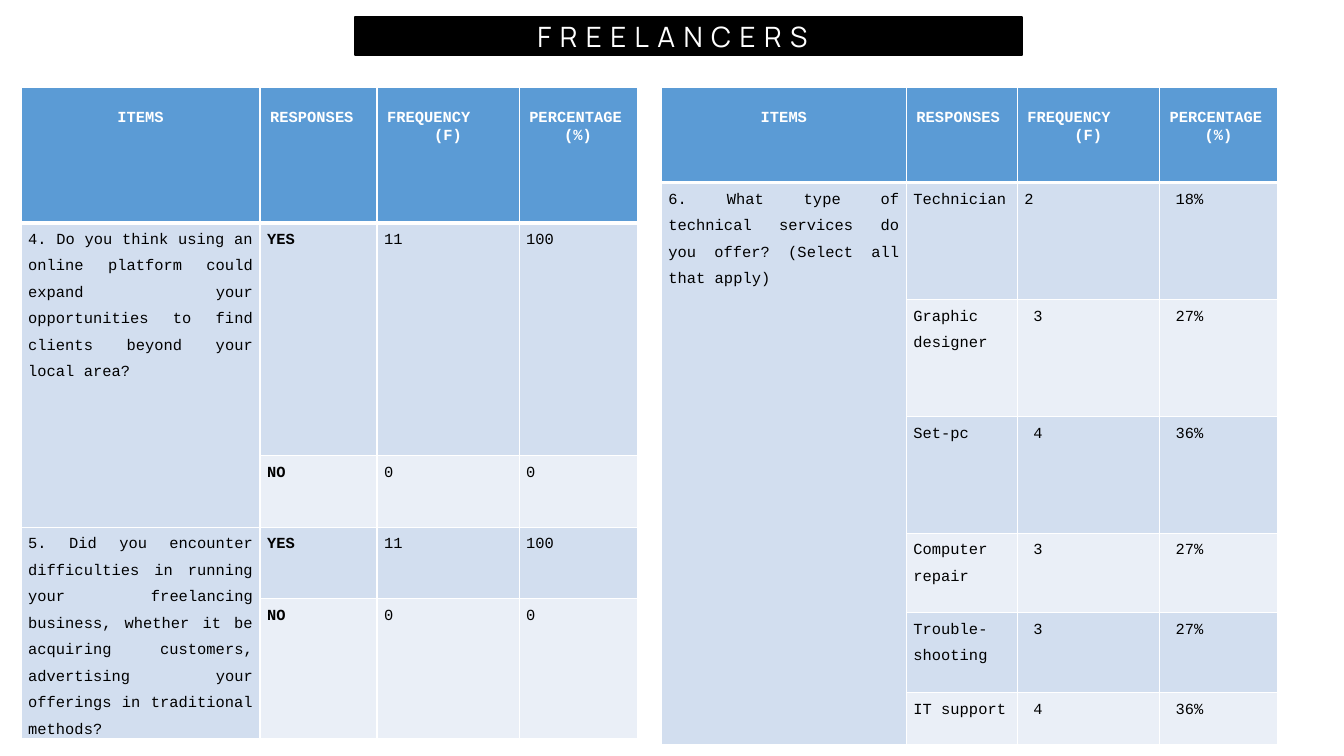
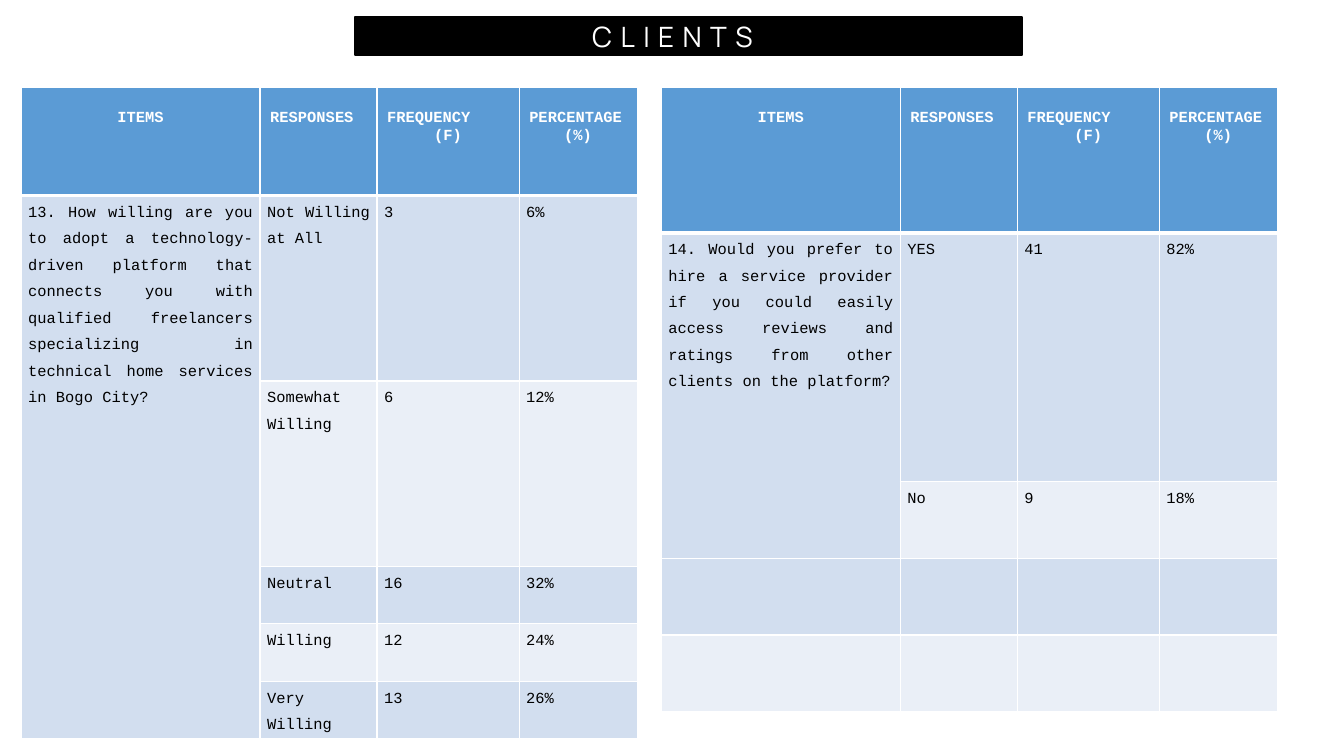
from lxml import etree
from pptx import Presentation
from pptx.dml.color import RGBColor
from pptx.enum.shapes import MSO_SHAPE
from pptx.enum.text import MSO_ANCHOR, PP_ALIGN
from pptx.oxml.ns import qn
from pptx.util import Inches, Pt

RECTANGLE = MSO_SHAPE.RECTANGLE
MIDDLE = MSO_ANCHOR.MIDDLE
LEFT, CENTER, JUSTIFY = PP_ALIGN.LEFT, PP_ALIGN.CENTER, PP_ALIGN.JUSTIFY

WHITE, BLACK = "FFFFFF", "000000"
HEADER_BLUE = "5B9BD5"
ROW_BANDS = ("D2DEEF", "EAEFF7")
TITLE_FONT, TABLE_FONT = "Manrope", "Courier New"

TITLE_BOX = (3.52, 0.17, 6.62, 0.38)
TABLE_TOP = 0.87
TABLE_LEFTS = (0.21, 6.56)
COLUMNS = (2.37, 1.16, 1.41, 1.17)
HEADINGS = (("ITEMS",), ("RESPONSES",), ("FREQUENCY", "(F)"), ("PERCENTAGE", "(%)"))
INDENT = 0.09

# Each survey table holds groups: a question with its (response, frequency, percentage) rows.
YES_NO = [("YES", "11", "100"), ("NO", "0", "0")]
BLANK_GROUP = ("", [("", "", "")])
SLIDES = [
    ("FREELANCERS", [
        dict(
            heights=(1.34, 2.31, 0.71, 0.71, 1.39),
            bold_responses=True,
            groups=[
                ("4. Do you think using an online platform could expand your "
                 "opportunities to find clients beyond your local area?", YES_NO),
                ("5. Did you encounter difficulties in running your freelancing "
                 "business, whether it be acquiring customers, advertising your "
                 "offerings in traditional methods?", YES_NO),
            ]),
        dict(
            heights=(0.94, 1.16, 1.16, 1.16, 0.79, 0.79, 0.52),
            columns=(2.43, 1.1, 1.41, 1.17),
            indent_from={2: 2, 3: 1},
            groups=[
                ("6. What type of technical services do you offer? "
                 "(Select all that apply)", [
                     ("Technician", "2", "18%"),
                     ("Graphic designer", "3", "27%"),
                     ("Set-pc", "4", "36%"),
                     ("Computer repair", "3", "27%"),
                     ("Trouble-shooting", "3", "27%"),
                     ("IT support", "4", "36%"),
                 ]),
            ]),
    ]),
    ("CLIENTS", [
        dict(
            heights=(1.07, 1.84, 1.84, 0.57, 0.57, 0.57),
            groups=[
                ("13. How willing are you to adopt a technology-driven platform "
                 "that connects you with qualified freelancers specializing in "
                 "technical home services in Bogo City?", [
                     ("Not Willing at All", "3", "6%"),
                     ("Somewhat Willing", "6", "12%"),
                     ("Neutral", "16", "32%"),
                     ("Willing", "12", "24%"),
                     ("Very Willing", "13", "26%"),
                 ]),
            ]),
        dict(
            heights=(1.44, 2.47, 0.76, 0.76, 0.76),
            groups=[
                ("14. Would you prefer to hire a service provider if you could "
                 "easily access reviews and ratings from other clients on the "
                 "platform?", [("YES", "41", "82%"), ("No", "9", "18%")]),
                BLANK_GROUP,
                BLANK_GROUP,
            ]),
    ]),
]


def rgb(hex_color):
    return RGBColor.from_string(hex_color)


def add_run(paragraph, text, font, size, color, bold=False):
    run = paragraph.add_run()
    run.text = text
    run.font.name = font
    run.font.size = Pt(size)
    run.font.color.rgb = rgb(color)
    run.font.bold = bold
    return run


def set_margins(area, left, top, right, bottom):
    """Set the insets, in inches, of a text frame or a table cell."""
    area.margin_left, area.margin_top = Inches(left), Inches(top)
    area.margin_right, area.margin_bottom = Inches(right), Inches(bottom)


def set_borders(cell, top, bottom):
    """Give a cell white borders: 1 pt at the sides, the given points above and below."""
    properties = cell._tc.get_or_add_tcPr()
    widths = (("lnL", 1), ("lnR", 1), ("lnT", top), ("lnB", bottom))
    for position, (side, width) in enumerate(widths):
        line = etree.Element(qn(f"a:{side}"), w=str(Pt(width)))
        fill = etree.SubElement(line, qn("a:solidFill"))
        etree.SubElement(fill, qn("a:srgbClr"), val=WHITE)
        properties.insert(position, line)


def fill_cell(cell, color):
    cell.fill.solid()
    cell.fill.fore_color.rgb = rgb(color)


def write_heading(cell, lines, first_alignment):
    set_margins(cell, 0.1, 0.22, 0.1, 0.05)
    frame = cell.text_frame
    for number, text in enumerate(lines):
        paragraph = frame.add_paragraph() if number else frame.paragraphs[0]
        paragraph.alignment = CENTER if number else first_alignment
        add_run(paragraph, text, TABLE_FONT, 11, WHITE, bold=True)


def write_body(cell, text, bold=False, indent=0):
    set_margins(cell, 0.07 + indent, 0, 0.07, 0)
    if text:
        paragraph = cell.text_frame.paragraphs[0]
        paragraph.alignment = JUSTIFY
        paragraph.line_spacing = 1.5
        add_run(paragraph, text, TABLE_FONT, 11, BLACK, bold)


def add_survey_table(slide, left, top, heights, groups, columns=COLUMNS,
                     bold_responses=False, indent_from=None):
    """Draw questions with their answers; indent_from maps a column to its first indented row."""
    indent_from = indent_from or {}
    table = slide.shapes.add_table(
        len(heights), len(columns), Inches(left), Inches(top),
        Inches(sum(columns)), Inches(sum(heights))).table
    table.horz_banding = False
    for column, width in zip(table.columns, columns):
        column.width = Inches(width)
    for number, height in enumerate(heights):
        table.rows[number].height = Inches(height)
        for cell in table.rows[number].cells:
            fill_cell(cell, ROW_BANDS[(number - 1) % 2] if number else HEADER_BLUE)
            set_borders(cell, 3 if number == 1 else 1, 1 if number else 3)

    for column, lines in enumerate(HEADINGS):
        write_heading(table.cell(0, column), lines, LEFT if column else CENTER)

    row = 1
    for question, answers in groups:
        question_cell = table.cell(row, 0)
        if len(answers) > 1:
            question_cell.merge(table.cell(row + len(answers) - 1, 0))
        write_body(question_cell, question)
        for answer in answers:
            for column, text in enumerate(answer, start=1):
                indented = row >= indent_from.get(column, len(heights))
                write_body(table.cell(row, column), text,
                           bold=bold_responses and column == 1,
                           indent=INDENT if indented else 0)
            row += 1


def add_title_band(slide, text, box):
    band = slide.shapes.add_shape(RECTANGLE, *map(Inches, box))
    band.shadow.inherit = False
    band.fill.solid()
    band.fill.fore_color.rgb = rgb(BLACK)
    band.line.color.rgb = rgb(BLACK)
    band.line.width = Pt(1.5)
    frame = band.text_frame
    frame.word_wrap = True
    frame.vertical_anchor = MIDDLE
    set_margins(frame, 0.1, 0.05, 0.42, 0.05)
    paragraph = frame.paragraphs[0]
    paragraph.alignment = CENTER
    run = add_run(paragraph, text, TITLE_FONT, 20, WHITE)
    run.font._element.set("spc", "600")


def add_results_slide(presentation, title, tables):
    slide = presentation.slides.add_slide(presentation.slide_layouts[6])
    for left, survey in zip(TABLE_LEFTS, tables):
        add_survey_table(slide, left, TABLE_TOP, **survey)
    add_title_band(slide, title, TITLE_BOX)


def main():
    presentation = Presentation()
    presentation.slide_width, presentation.slide_height = Inches(13.33), Inches(7.5)
    for title, tables in SLIDES:
        add_results_slide(presentation, title, tables)
    presentation.save("out.pptx")


if __name__ == "__main__":
    main()
